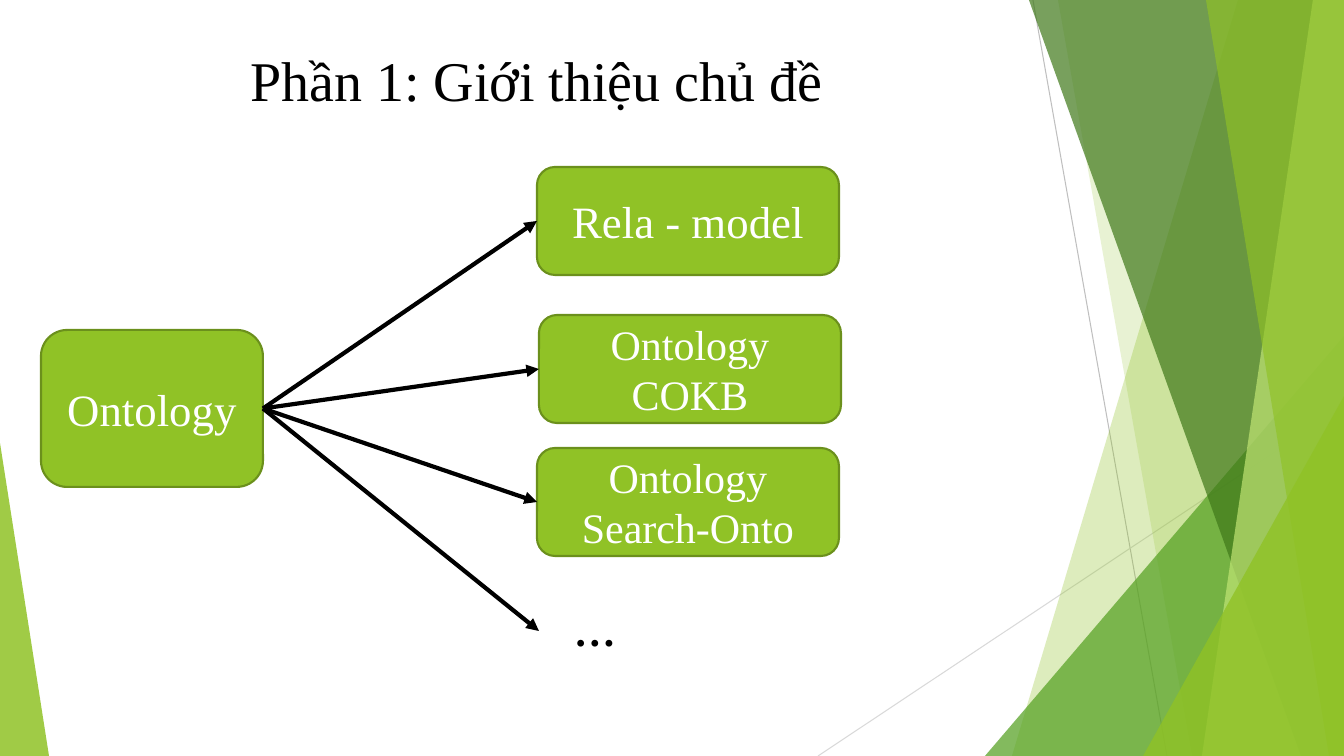
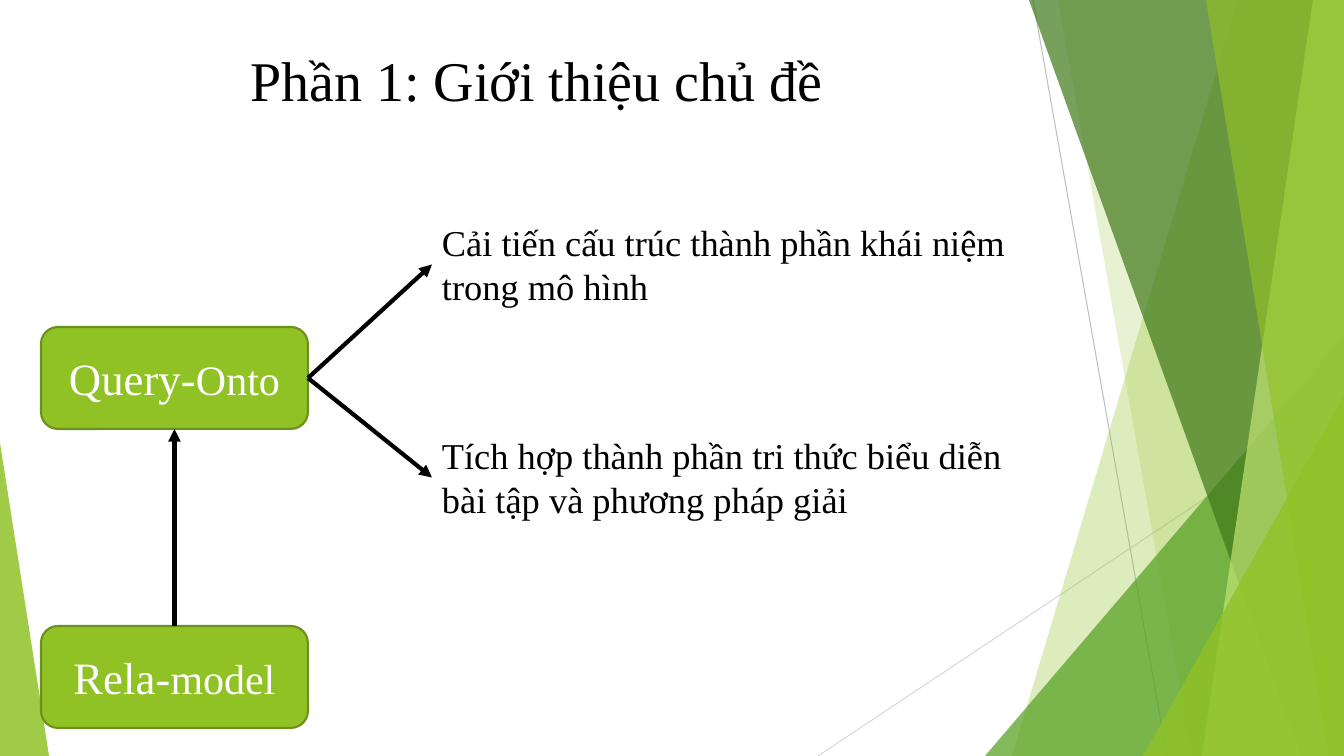
import dataclasses

import lxml.etree
import pptx
import pptx.dml.color
import pptx.enum.shapes
import pptx.enum.text
import pptx.oxml.ns
import pptx.util

SCALE = 914400 / 100.8
WIDE, HIGH = 1344, 756
Kind = pptx.enum.shapes.MSO_SHAPE
Align = pptx.enum.text.PP_ALIGN
Anchor = pptx.enum.text.MSO_ANCHOR
Fit = pptx.enum.text.MSO_AUTO_SIZE


@dataclasses.dataclass(frozen=True)
class Theme:
    font: str = "Times New Roman"
    ink: str = "000000"
    white: str = "FFFFFF"
    lime: str = "90C226"
    edge: str = "6B901C"
    leaf: str = "54A021"
    moss: str = "3F7819"
    pale: str = "C0E474"
    gray: str = "BFBFBF"
    mist: str = "D9D9D9"
    title: int = 40
    large: int = 32
    label: int = 30
    note: int = 26


THEME = Theme()
TITLE = "Phần 1: Giới thiệu chủ đề"


def px(*nums):
    return [pptx.util.Emu(round(num * SCALE)) for num in nums]


def rgb(code):
    return pptx.dml.color.RGBColor.from_string(code)


def add_tag(parent, name, **attrs):
    lxml.etree.SubElement(parent, pptx.oxml.ns.qn(name), attrs)


def write(shape, *runs, size=THEME.label, color=THEME.ink, align=Align.LEFT,
          anchor=Anchor.TOP, bold=False, wrap=True, fit=Fit.NONE):
    frame = shape.text_frame
    frame.word_wrap = wrap
    frame.auto_size = fit
    frame.vertical_anchor = anchor
    para = frame.paragraphs[0]
    para.alignment = align
    for item in runs:
        words, points = item if isinstance(item, tuple) else (item, size)
        run = para.add_run()
        run.text = words
        run.font.name = THEME.font
        run.font.size = pptx.util.Pt(points)
        run.font.bold = bold
        run.font.color.rgb = rgb(color)


def add_box(slide, area, *runs, size=THEME.label):
    box = slide.shapes.add_shape(Kind.ROUNDED_RECTANGLE, *px(*area))
    box.shadow.inherit = False
    box.fill.solid()
    box.fill.fore_color.rgb = rgb(THEME.lime)
    box.line.color.rgb = rgb(THEME.edge)
    box.line.width = pptx.util.Pt(1.5)
    write(box, *runs, size=size, color=THEME.white,
          align=Align.CENTER, anchor=Anchor.MIDDLE)
    return box


def add_note(slide, area, words, **form):
    note = slide.shapes.add_textbox(*px(*area))
    write(note, words, fit=Fit.SHAPE_TO_FIT_TEXT, **form)
    return note


def add_line(slide, ends, color, width):
    line = slide.shapes.add_connector(
        pptx.enum.shapes.MSO_CONNECTOR.STRAIGHT, *px(*ends))
    line.line.color.rgb = rgb(color)
    line.line.width = pptx.util.Pt(width)
    add_tag(line.element.spPr, "a:effectLst")
    return line


def add_arrow(slide, start, side, point=(0, 0), goal=None, port=1):
    arrow = add_line(slide, (0, 0, *point), THEME.ink, 3)
    arrow.begin_connect(start, side)
    if goal is not None:
        arrow.end_connect(goal, port)
    add_tag(arrow.element.spPr.get_or_add_ln(), "a:tailEnd", type="triangle")


def tint(shape, color, alpha):
    shape.shadow.inherit = False
    shape.line.fill.background()
    shape.fill.solid()
    shape.fill.fore_color.rgb = rgb(color)
    mark = shape.element.spPr.find(".//" + pptx.oxml.ns.qn("a:srgbClr"))
    add_tag(mark, "a:alpha", val=str(alpha * 1000))
    return shape


def add_band(slide, top, foot, color, alpha):
    pen = slide.shapes.build_freeform(top, 0, SCALE)
    pen.add_line_segments([(WIDE, 0), (WIDE, HIGH), (foot, HIGH)], close=True)
    return tint(pen.convert_to_shape(), color, alpha)


def add_wedge(slide, left, top, width, tip, color, alpha):
    area = px(left, top, width, HIGH - top)
    wedge = slide.shapes.add_shape(Kind.ISOSCELES_TRIANGLE, *area)
    wedge.adjustments[0] = tip
    return tint(wedge, color, alpha)


def set_layout(layout, slide):
    decor = [
        add_line(slide, (1033, 0, 1167, HIGH), THEME.gray, 0.75),
        add_line(slide, (WIDE, 406, 818, HIGH), THEME.mist, 0.75),
        add_band(slide, 1238, 1012, THEME.lime, 30),
        add_band(slide, 1058, 1192, THEME.lime, 20),
        add_wedge(slide, 985, 336, 359, 1, THEME.leaf, 72),
        add_band(slide, 1029, 1301, THEME.moss, 70),
        add_band(slide, 1313, 1202, THEME.pale, 70),
        add_band(slide, 1206, 1329, THEME.lime, 65),
        add_wedge(slide, 1143, 396, 201, 1, THEME.lime, 80),
        add_wedge(slide, 0, 443, 49, 0, THEME.lime, 85),
    ]
    for rank, shape in enumerate(decor):
        shape.element.xpath("./*/p:cNvPr")[0].set("id", str(100 + rank))
        layout.shapes.element.insert(2 + rank, shape.element)
    title = layout.placeholders[0]
    title.left, title.top, title.width, title.height = px(41, 40, 991, 145)


def fill_models(slide):
    root = add_box(slide, (41, 330, 222, 157), "Ontology", size=THEME.large)
    models = [
        (537, 167, "Rela - model", THEME.large),
        (539, 315, "Ontology COKB", THEME.label),
        (537, 448, "Ontology Search-Onto", THEME.label),
    ]
    for left, top, words, size in models:
        model = add_box(slide, (left, top, 302, 108), words, size=size)
        add_arrow(slide, root, 3, goal=model)
    add_arrow(slide, root, 3, point=(539, 631))
    add_note(slide, (564, 600, 62, 61), "…", bold=True, wrap=False)


def fill_goals(slide):
    query, rela = [
        add_box(slide, (41, top, 267, 102), (head, THEME.large), tail)
        for top, head, tail in [(327, "Query-", "Onto"), (626, "Rela-", "model")]
    ]
    add_arrow(slide, rela, 0, goal=query, port=2)
    goals = [
        (215, "Cải tiến cấu trúc thành phần khái niệm trong mô hình"),
        (428, "Tích hợp thành phần tri thức biểu diễn bài tập và phương pháp giải"),
    ]
    for top, words in goals:
        note = add_note(slide, (432, top, 600, 99), words, size=THEME.note)
        add_arrow(slide, query, 3, goal=note)


def main():
    deck = pptx.Presentation()
    deck.slide_width, deck.slide_height = px(WIDE, HIGH)
    layout = deck.slide_layouts[5]
    slides = [deck.slides.add_slide(layout) for _ in range(2)]
    set_layout(layout, slides[0])
    for slide, fill in zip(slides, (fill_models, fill_goals)):
        write(slide.shapes.title, TITLE, size=THEME.title, align=Align.CENTER)
        fill(slide)
    deck.save("out.pptx")


if __name__ == "__main__":
    main()
